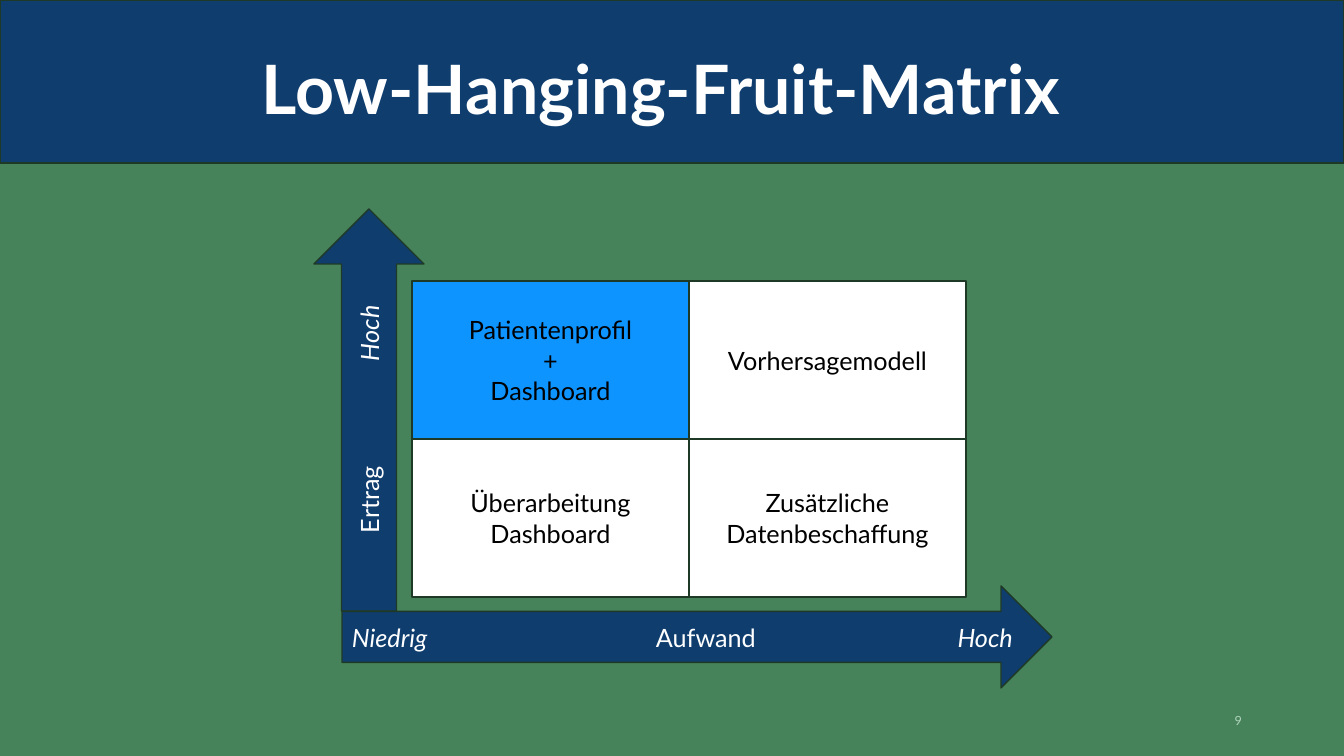
import pptx
import pptx.dml.color
import pptx.enum.shapes
import pptx.enum.text
import pptx.oxml.ns
import pptx.util
from lxml import etree

PX = 914400 / 100.8
NAVY, BLUE, WHITE, BLACK = "0F3D6E", "0E94FF", "FFFFFF", "000000"
SHAPE = pptx.enum.shapes.MSO_SHAPE
ALIGN = pptx.enum.text.PP_ALIGN
ANCHOR = pptx.enum.text.MSO_ANCHOR
qn = pptx.oxml.ns.qn


def rgb(value):
    return pptx.dml.color.RGBColor.from_string(value)


def add_item(box, runs_by_line, size, color, align, kind=None, fill=None, bold=False):
    """Add a text box, or a filled shape if kind is given; a run is (text, italic)."""
    place = [round(v * PX) for v in box]
    if kind is None:
        sp = slide.shapes.add_textbox(*place)
    else:
        sp = slide.shapes.add_shape(kind, *place)
        sp.shadow.inherit = False
        sp.fill.solid()
        sp.fill.fore_color.rgb = rgb(fill)
        sp.line.color.rgb = rgb("1F3927")
        sp.line.width = pptx.util.Pt(1)
    tf = sp.text_frame
    tf.word_wrap = True
    tf.vertical_anchor = ANCHOR.MIDDLE
    for i, runs in enumerate(runs_by_line):
        p = tf.paragraphs[0] if i == 0 else tf.add_paragraph()
        p.alignment = align
        for text, italic in runs:
            r = p.add_run()
            r.text = text
            r.font.name = "Lato"
            r.font.size = pptx.util.Pt(size)
            r.font.bold = bold
            r.font.italic = italic
            r.font.color.rgb = rgb(color)
    return sp


prs = pptx.Presentation()
prs.slide_width = round(1344 * PX)
prs.slide_height = round(756 * PX)
slide = prs.slides.add_slide(prs.slide_layouts[6])
slide.background.fill.solid()
slide.background.fill.fore_color.rgb = rgb("46835A")

# Title band, title and page number
add_item((0, 0, 1344, 163), [], 18, WHITE, ALIGN.LEFT, SHAPE.RECTANGLE, NAVY)
title = add_item((252, 39, 840, 95), [[("Low-Hanging-Fruit-Matrix", False)]],
                 48.6, WHITE, ALIGN.LEFT, bold=True)
title.text_frame.vertical_anchor = ANCHOR.BOTTOM
title.text_frame.paragraphs[0].line_spacing = 0.9
add_item((950, 700, 302, 40), [[("9", False)]], 9, "AED4BB", ALIGN.RIGHT)

# Matrix cells
matrix = [
    [(["Patientenprofil", "+", "Dashboard"], BLUE), (["Vorhersagemodell"], WHITE)],
    [(["Überarbeitung", "Dashboard"], WHITE), (["Zusätzliche", "Datenbeschaffung"], WHITE)],
]
for row, cells in enumerate(matrix):
    for col, (lines, fill) in enumerate(cells):
        add_item((412 + col * 277, 281 + row * 158, 277, 158),
                 [[(line, False)] for line in lines],
                 18, BLACK, ALIGN.CENTER, SHAPE.RECTANGLE, fill)

# Axis arrows, with labels placed by tab stops
axes = [
    (SHAPE.UP_ARROW, (314, 209, 110, 402), "vert270",
     [("\tErtrag\t", False), ("Hoch", True)], [(68, "l"), (240, "l")]),
    (SHAPE.RIGHT_ARROW, (342, 586, 710, 102), "horz",
     [("Niedrig", True), ("\tAufwand\t", False), ("Hoch", True)], [(354, "ctr"), (661, "r")]),
]
for kind, box, direction, runs, stops in axes:
    sp = add_item(box, [runs], 18, WHITE, ALIGN.LEFT, kind, NAVY)
    tf = sp.text_frame
    tf._txBody.find(qn("a:bodyPr")).set("vert", direction)
    tabs = etree.SubElement(tf.paragraphs[0]._p.get_or_add_pPr(), qn("a:tabLst"))
    for pos, align in stops:
        etree.SubElement(tabs, qn("a:tab"), pos=str(round(pos * PX)), algn=align)

prs.save("out.pptx")
